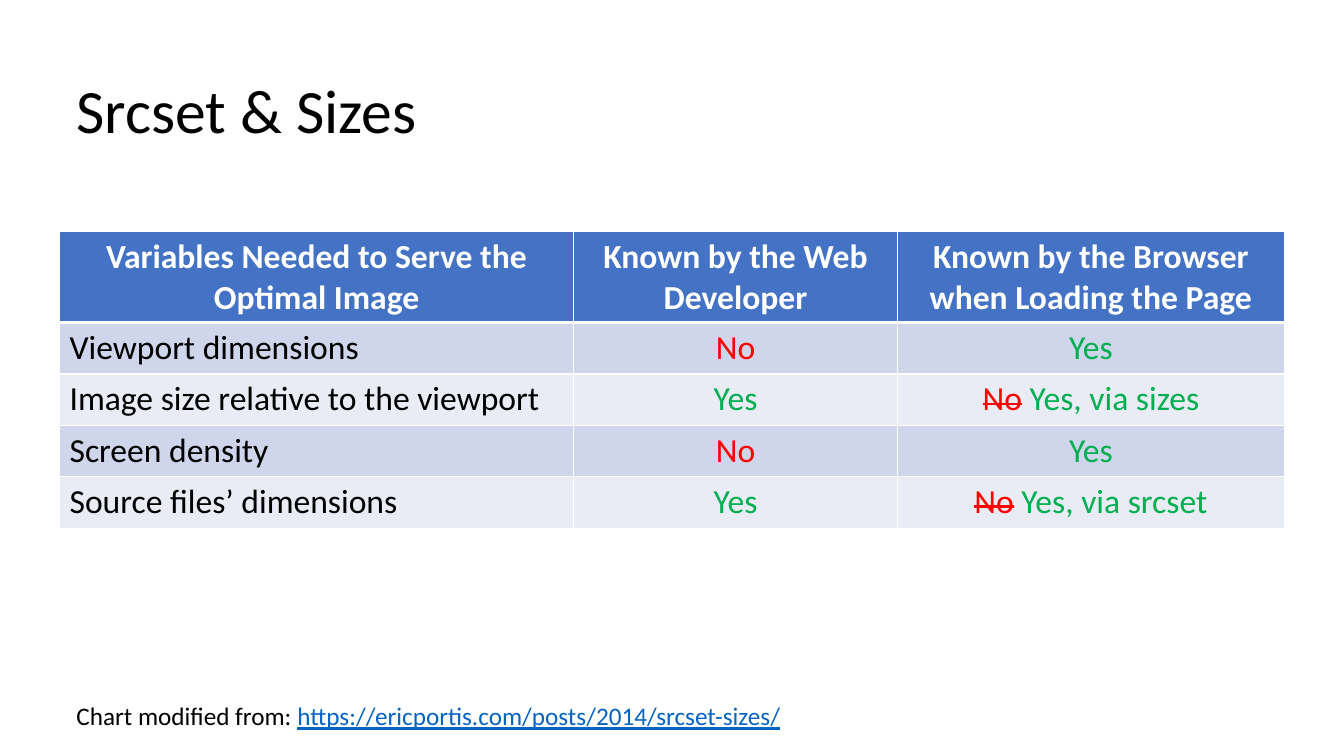
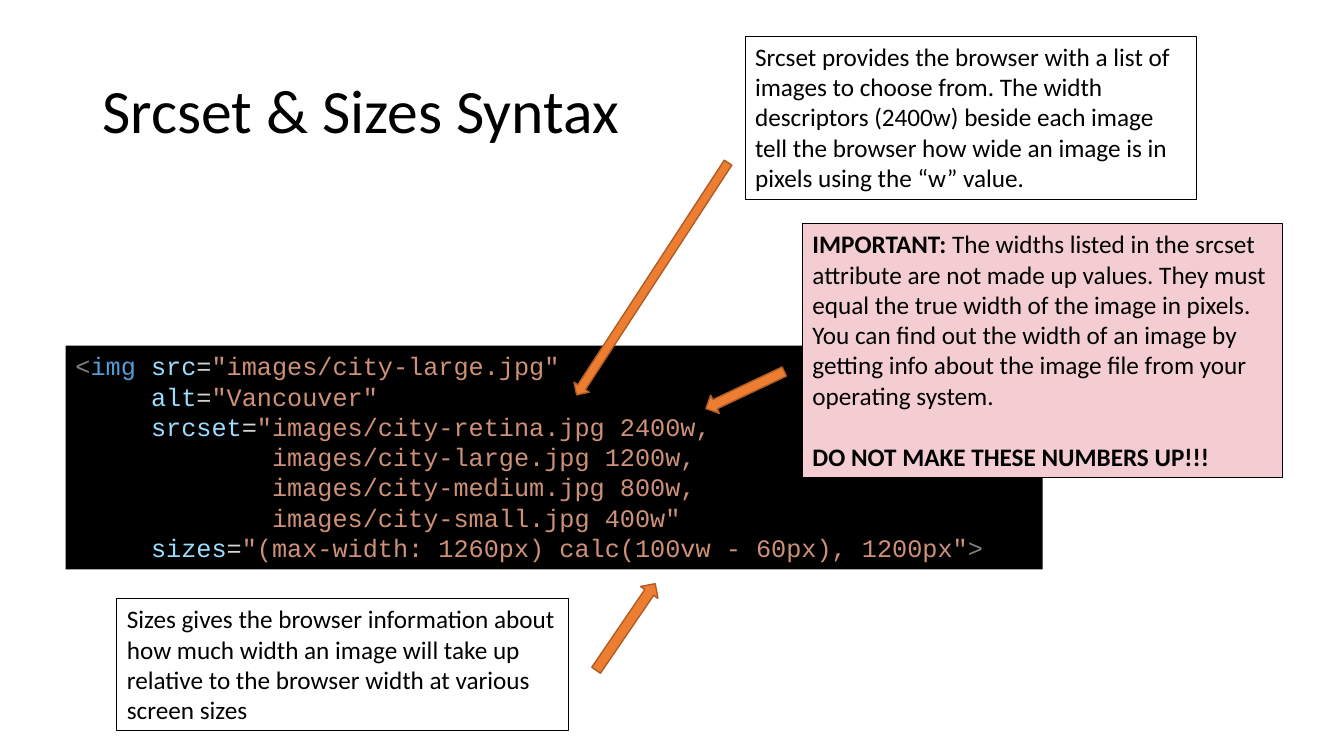
from dataclasses import dataclass

from lxml import etree
from pptx import Presentation
from pptx.dml.color import RGBColor
from pptx.enum import shapes, text
from pptx.oxml import ns
from pptx.util import Inches, Pt


@dataclass(frozen=True)
class Theme:
    font: str = "Calibri"
    code_font: str = "Courier New"
    title_size: int = 44
    table_size: int = 24
    body_size: int = 18
    black: str = "000000"
    white: str = "FFFFFF"
    header: str = "4472C4"
    bands: tuple = ("CFD5EA", "E9EBF5")
    warning: str = "F4CDD3"
    arrow: str = "ED7D31"
    arrow_edge: str = "AF5C24"


THEME = Theme()

# Run styles: colour, bold, underline, strike
STYLES = {
    "plain": (THEME.black, False, False, False),
    "bold": (THEME.black, True, False, False),
    "header": (THEME.white, True, False, False),
    "no": ("FF0000", False, False, False),
    "struck": ("FF0000", False, False, True),
    "yes": ("00B050", False, False, False),
    "url": ("0563C1", False, True, False),
    "bracket": ("808080", False, False, False),
    "tag": ("569CD6", False, False, False),
    "attribute": ("9CDCFE", False, False, False),
    "equals": ("D4D4D4", False, False, False),
    "string": ("CE9178", False, False, False),
}

# Content: a paragraph is a list of (text, style) runs
NO, YES = [("No", "no")], [("Yes", "yes")]


def now_known(attribute):
    return [("No", "struck"), (" ", "no"), (f"Yes, via {attribute}", "yes")]


HEADERS = ["Variables Needed to Serve the Optimal Image",
           "Known by the Web Developer",
           "Known by the Browser when Loading the Page"]
VARIABLES = [
    ("Viewport dimensions", NO, YES),
    ("Image size relative to the viewport", YES, now_known("sizes")),
    ("Screen density", NO, YES),
    ("Source files’ dimensions", YES, now_known("srcset")),
]
COLUMN_WIDTHS = [5.1, 3.21, 3.84]
HEADER_HEIGHT, ROW_HEIGHT = 0.9, 0.51

CREDIT = [("Chart modified from: ", "plain"),
          ("https://ericportis.com/posts/2014/srcset-sizes/", "url")]

CODE = [
    [("<", "bracket"), ("img ", "tag"), ("src", "attribute"), ("=", "equals"),
     ('"images/city-large.jpg"', "string")],
    [("     alt", "attribute"), ("=", "equals"), ('"Vancouver"', "string")],
    [("     srcset", "attribute"), ("=", "equals"),
     ('"images/city-retina.jpg 2400w,', "string")],
    [("             images/city-large.jpg 1200w,", "string")],
    [("             images/city-medium.jpg 800w,", "string")],
    [('             images/city-small.jpg 400w"', "string")],
    [("     sizes", "attribute"), ("=", "equals"),
     ('"(max-width: 1260px) calc(100vw - 60px), 1200px"', "string"),
     (">", "bracket")],
]

# Notes: box, fill, paragraphs, then the arrow's box and rotation
NOTES = [
    ((7.39, 0.36, 4.48, 1.62), None, [[(
        "Srcset provides the browser with a list of images to choose from. "
        "The width descriptors (2400w) beside each image tell the browser how "
        "wide an image is in pixels using the “w” value.", "plain")]],
     (6.38, 1.39, 0.18, 2.75), 33.1),
    ((7.96, 2.22, 4.76, 2.52), THEME.warning, [
        [("IMPORTANT:", "bold"),
         (" The widths listed in the srcset attribute are not made up values. "
          "They must equal the true width of the image in pixels. You can find "
          "out the width of an image by getting info about the image file from "
          "your operating system.", "plain")],
        [("DO NOT MAKE THESE NUMBERS UP!!!", "bold")]],
     (7.29, 3.44, 0.2, 0.86), 64.7),
    ((1.16, 5.94, 4.48, 1.31), None, [[(
        "Sizes gives the browser information about how much width an image "
        "will take up relative to the browser width at various screen sizes",
        "plain")]],
     (6.1, 5.7, 0.21, 1.04), 214.3),
]


# Shared helpers
def rgb(value):
    return RGBColor.from_string(value)


def write(text_frame, paragraphs, size, font=THEME.font, gap=0,
          align=text.PP_ALIGN.LEFT):
    for index, runs in enumerate(paragraphs):
        paragraph = text_frame.paragraphs[0] if index == 0 else text_frame.add_paragraph()
        paragraph.alignment = align
        if index and gap:
            paragraph.space_before = Pt(gap)
        for content, style in runs:
            color, bold, underline, strike = STYLES[style]
            run = paragraph.add_run()
            run.text = content
            run.font.name, run.font.size = font, Pt(size)
            run.font.bold, run.font.underline = bold, underline
            run.font.color.rgb = rgb(color)
            if strike:
                run.font._element.set("strike", "sngStrike")


def add_text(slide, box, paragraphs, size, anchor=text.MSO_ANCHOR.TOP, **options):
    shape = slide.shapes.add_textbox(*map(Inches, box))
    shape.text_frame.word_wrap = True
    shape.text_frame.vertical_anchor = anchor
    write(shape.text_frame, paragraphs, size, **options)
    return shape


def add_title(slide, left, title):
    shape = add_text(slide, (left, 0.4, 11.5, 1.45), [[(title, "plain")]],
                     THEME.title_size, text.MSO_ANCHOR.MIDDLE)
    shape.text_frame.paragraphs[0].line_spacing = 0.9


def fill_cell(cell, color, top, bottom):
    properties = cell._tc.get_or_add_tcPr()
    for side, width in (("L", 1), ("R", 1), ("T", top), ("B", bottom)):
        line = etree.SubElement(properties, ns.qn(f"a:ln{side}"), w=str(Pt(width)))
        fill = etree.SubElement(line, ns.qn("a:solidFill"))
        etree.SubElement(fill, ns.qn("a:srgbClr"), val=THEME.white)
    cell.fill.solid()
    cell.fill.fore_color.rgb = rgb(color)


def add_arrow(slide, box, rotation):
    arrow = slide.shapes.add_shape(shapes.MSO_SHAPE.DOWN_ARROW, *map(Inches, box))
    arrow.rotation = rotation
    arrow.shadow.inherit = False
    arrow.fill.solid()
    arrow.fill.fore_color.rgb = rgb(THEME.arrow)
    arrow.line.color.rgb = rgb(THEME.arrow_edge)
    arrow.line.width = Pt(1)


# Slide 1: table of variables
def build_variables(slide):
    add_title(slide, 0.66, "Srcset & Sizes")
    rows = [[[(header, "header")] for header in HEADERS]]
    rows += [[[(name, "plain")], developer, browser]
             for name, developer, browser in VARIABLES]
    heights = [HEADER_HEIGHT] + [ROW_HEIGHT] * len(VARIABLES)
    table = slide.shapes.add_table(
        len(rows), len(HEADERS), Inches(0.59), Inches(2.3),
        Inches(sum(COLUMN_WIDTHS)), Inches(sum(heights))).table
    table.first_row = table.horz_banding = False
    for column, width in zip(table.columns, COLUMN_WIDTHS):
        column.width = Inches(width)
    for r, cells in enumerate(rows):
        table.rows[r].height = Inches(heights[r])
        color = THEME.bands[(r - 1) % 2] if r else THEME.header
        for c, runs in enumerate(cells):
            cell = table.cell(r, c)
            left_aligned = r > 0 and c == 0
            write(cell.text_frame, [runs], THEME.table_size,
                  align=text.PP_ALIGN.LEFT if left_aligned else text.PP_ALIGN.CENTER)
            if r == 0:
                cell.vertical_anchor = text.MSO_ANCHOR.MIDDLE
            fill_cell(cell, color, 3 if r == 1 else 1, 3 if r == 0 else 1)
    add_text(slide, (0.66, 6.9, 11.75, 0.4), [CREDIT], THEME.body_size)


# Slide 2: annotated code
def build_syntax(slide):
    add_title(slide, 0.92, "Srcset & Sizes Syntax")
    code = add_text(slide, (0.65, 3.43, 9.69, 2.22), CODE, THEME.body_size,
                    font=THEME.code_font)
    code.fill.solid()
    code.fill.fore_color.rgb = rgb(THEME.black)
    for box, fill, paragraphs, arrow_box, rotation in NOTES:
        note = add_text(slide, box, paragraphs, THEME.body_size, gap=22)
        note.line.color.rgb = rgb(THEME.black)
        note.line.width = Pt(0.75)
        if fill:
            note.fill.solid()
            note.fill.fore_color.rgb = rgb(fill)
        add_arrow(slide, arrow_box, rotation)


def main():
    presentation = Presentation()
    presentation.slide_width, presentation.slide_height = Inches(13.33), Inches(7.5)
    for build in (build_variables, build_syntax):
        build(presentation.slides.add_slide(presentation.slide_layouts[6]))
    presentation.save("out.pptx")


if __name__ == "__main__":
    main()
